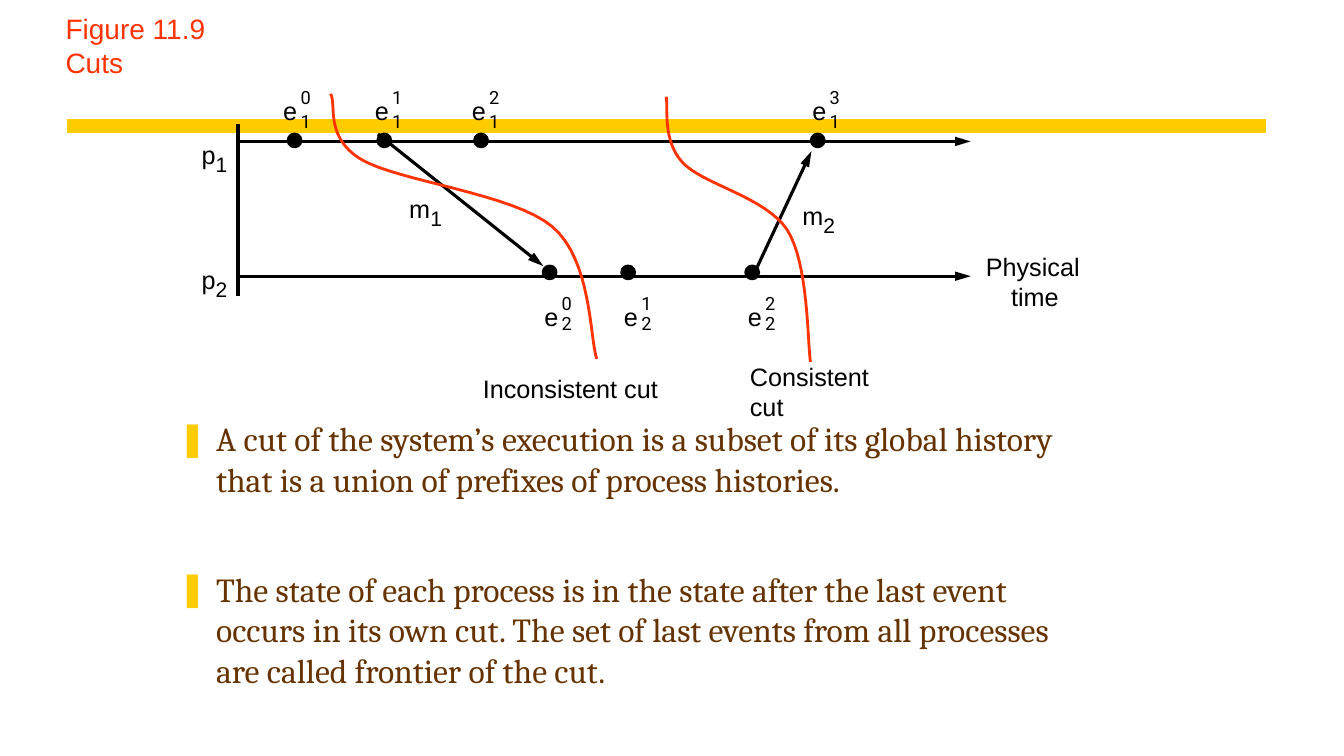
from pptx import Presentation
from pptx.dml.color import RGBColor
from pptx.enum import shapes, text
from pptx.oxml import xmlchemy as xc
from pptx.util import Pt
from lxml import etree

COLORS = {"ink": "000000", "accent": "FF3300", "rule": "FFCC00", "body": "663300"}
NS = "http://schemas.openxmlformats.org/drawingml/2006/main"


def rgb(name):
    """Return the named colour."""
    return RGBColor.from_string(COLORS[name])


def add_xml(parent, tag, **attrs):
    """Append a DrawingML element and return it."""
    return etree.SubElement(parent, f"{{{NS}}}{tag}", attrs)


def write(p, words, size=18, font="Arial", color="ink", align=text.PP_ALIGN.LEFT, before=0):
    """Fill a paragraph with one formatted run."""
    r = p.add_run()
    r.text = words
    r.font.size, r.font.name, r.font.color.rgb = Pt(size), font, rgb(color)
    p.alignment, p.space_before = align, Pt(before)


def label(s, words, x, y, w=10, h=22, **fmt):
    """Place a text box without margins."""
    tf = s.shapes.add_textbox(Pt(x), Pt(y), Pt(w), Pt(h)).text_frame
    tf.margin_left = tf.margin_right = tf.margin_top = tf.margin_bottom = 0
    tf.word_wrap = True
    write(tf.paragraphs[0], words, **fmt)


def line(s, x1, y1, x2, y2, color="ink", width=2.25, arrow=False):
    """Draw a straight line, with an arrowhead at its end if asked."""
    c = s.shapes.add_connector(shapes.MSO_CONNECTOR.STRAIGHT, Pt(x1), Pt(y1), Pt(x2), Pt(y2))
    c.line.color.rgb, c.line.width = rgb(color), Pt(width)
    if arrow:
        add_xml(c.line._get_or_add_ln(), "tailEnd", type="triangle", w="med", len="lg")
    add_xml(c._element.spPr, "effectLst")


def curve(s, x, y, points, steps=16):
    """Draw an open chain of cubic curves from its control points."""
    track = [points[0]]
    for i in range(0, len(points) - 1, 3):
        for k in range(1, steps + 1):
            t = k / steps
            weights = ((1 - t) ** 3, 3 * t * (1 - t) ** 2, 3 * t * t * (1 - t), t ** 3)
            track.append([sum(w * q[a] for w, q in zip(weights, points[i:i + 4])) for a in (0, 1)])
    track = [(Pt(x + px), Pt(y + py)) for px, py in track]
    fb = s.shapes.build_freeform(*track[0])
    fb.add_line_segments(track[1:], close=False)
    sp = fb.convert_to_shape()
    sp.shadow.inherit = False
    sp.fill.background()
    sp.line.color.rgb, sp.line.width = rgb("accent"), Pt(2)


def dot(s, x, y, size=9):
    """Draw an event dot."""
    sp = s.shapes.add_shape(shapes.MSO_SHAPE.OVAL, Pt(x), Pt(y), Pt(size), Pt(size))
    sp.shadow.inherit = False
    sp.fill.solid()
    sp.fill.fore_color.rgb = sp.line.color.rgb = rgb("ink")
    sp.line.width = Pt(2.25)


def place(sp, x, y, w, h):
    """Move a placeholder into a box and return its text frame."""
    sp.left, sp.top, sp.width, sp.height = Pt(x), Pt(y), Pt(w), Pt(h)
    tf = sp.text_frame
    tf.auto_size, tf.word_wrap = text.MSO_AUTO_SIZE.NONE, True
    return tf


def title(s, x, y, w, h, lines):
    """Fill the title and draw the rule below it."""
    tf = place(s.shapes.title, x, y, w, h)
    tf.vertical_anchor = text.MSO_ANCHOR.BOTTOM
    for i, words in enumerate(lines):
        p = tf.add_paragraph() if i else tf.paragraphs[0]
        write(p, words, size=20, color="accent")
    line(s, x + 8.6, y + 84.2, x + w + 3.6, y + 84.2, color="rule", width=10)


def diagram(s, x, y, w):
    """Draw the two process timelines, their events, messages and cuts."""
    axis = x + 26
    for name, dy, label_dy in (("1", 39, 37.4), ("2", 135.3, 126.6)):
        line(s, axis, y + dy, x + w, y + dy, arrow=True)
        label(s, "p", x, y + label_dy)
        label(s, name, x + 10.1, y + label_dy + 9, size=15)
    line(s, axis, y + 26.6, axis, y + 149.7)

    for ends in ((126, 33.8, 244.1, 128.1), (393.8, 135.3, 435.6, 46)):
        line(s, *(v + (x, y)[i % 2] for i, v in enumerate(ends)), arrow=True)
    for name, dx, dy in (("1", 148.3, 76.2), ("2", 429.1, 81.3)):
        label(s, "m", x + dx, y + dy, w=15)
        label(s, name, x + dx + 15.1, y + dy + 8.6, size=15)

    events = (
        ("1", 33.8, (6.4, 16.5, 0), ((61.9, 58.3), (126, 123.8), (195.1, 193), (435.6, 436.3))),
        ("2", 128.1, (153.3, 161.2, 146.8), ((244.1, 244.8), (300.2, 301.7), (388.8, 390.2))),
    )
    for process, dot_y, (e_y, sub_y, sup_y), columns in events:
        for n, (dot_x, e_x) in enumerate(columns):
            dot(s, x + dot_x, y + dot_y)
            label(s, "e", x + e_x, y + e_y)
            for words, dy in ((process, sub_y), (str(n), sup_y)):
                label(s, words, x + e_x + 12.4, y + dy, w=8, h=16, size=13, font="Roboto")

    curve(s, x, y, ((92.2, 5), (96.5, 12.9), (87.8, 35.9), (113.8, 51.8), (140.4, 67.6),
                    (222.5, 76.2), (250.6, 100), (278.6, 123.8), (277.2, 179.2), (282.2, 194.3)))
    curve(s, x, y, ((331.9, 7.1), (333.4, 15), (329, 38.1), (343.4, 53.9), (357.8, 69.8),
                    (402.5, 78.4), (418.3, 102.2), (433.4, 125.9), (432.7, 180.6), (434.9, 196.5)))
    label(s, "Inconsistent cut", x + 200.9, y + 204.4, w=135)
    label(s, "Consistent cut", x + 391.7, y + 195.8, w=100, h=43)
    label(s, "Physical", x + 560.2, y + 117.3, w=72)
    label(s, "time", x + 578.2, y + 138.9, w=40)


def bullets(s, x, y, w, h, items, gap=50):
    """Fill the body with bulleted paragraphs."""
    tf = place(s.placeholders[1], x, y, w, h)
    tf.vertical_anchor = text.MSO_ANCHOR.TOP
    for i, words in enumerate(items):
        p = tf.add_paragraph() if i else tf.paragraphs[0]
        pPr = p._p.get_or_add_pPr()
        pPr.set("marL", str(Pt(27)))
        pPr.set("indent", str(-Pt(27)))
        add_xml(add_xml(pPr, "buClr"), "srgbClr", val=COLORS["rule"])
        add_xml(pPr, "buChar", char="❚")
        write(p, words, size=24, font="Cambria", color="body", before=gap if i else 0)


def main():
    """Build and save the slide."""
    prs = Presentation()
    prs.slide_width, prs.slide_height = Pt(960), Pt(540)
    s = prs.slides.add_slide(prs.slide_layouts[1])
    title(s, 39.6, 5.8, 861, 54, ("Figure 11.9", "Cuts"))
    diagram(s, 144, 62, 549.4)
    bullets(s, 120.2, 295.2, 657.4, 202.3, (
        "A cut of the system’s execution is a subset of its global history "
        "that is a union of prefixes of process histories.",
        "The state of each process is in the state after the last event occurs in its own cut. "
        "The set of last events from all processes are called frontier of the cut.",
    ))
    prs.save("out.pptx")


if __name__ == "__main__":
    main()
